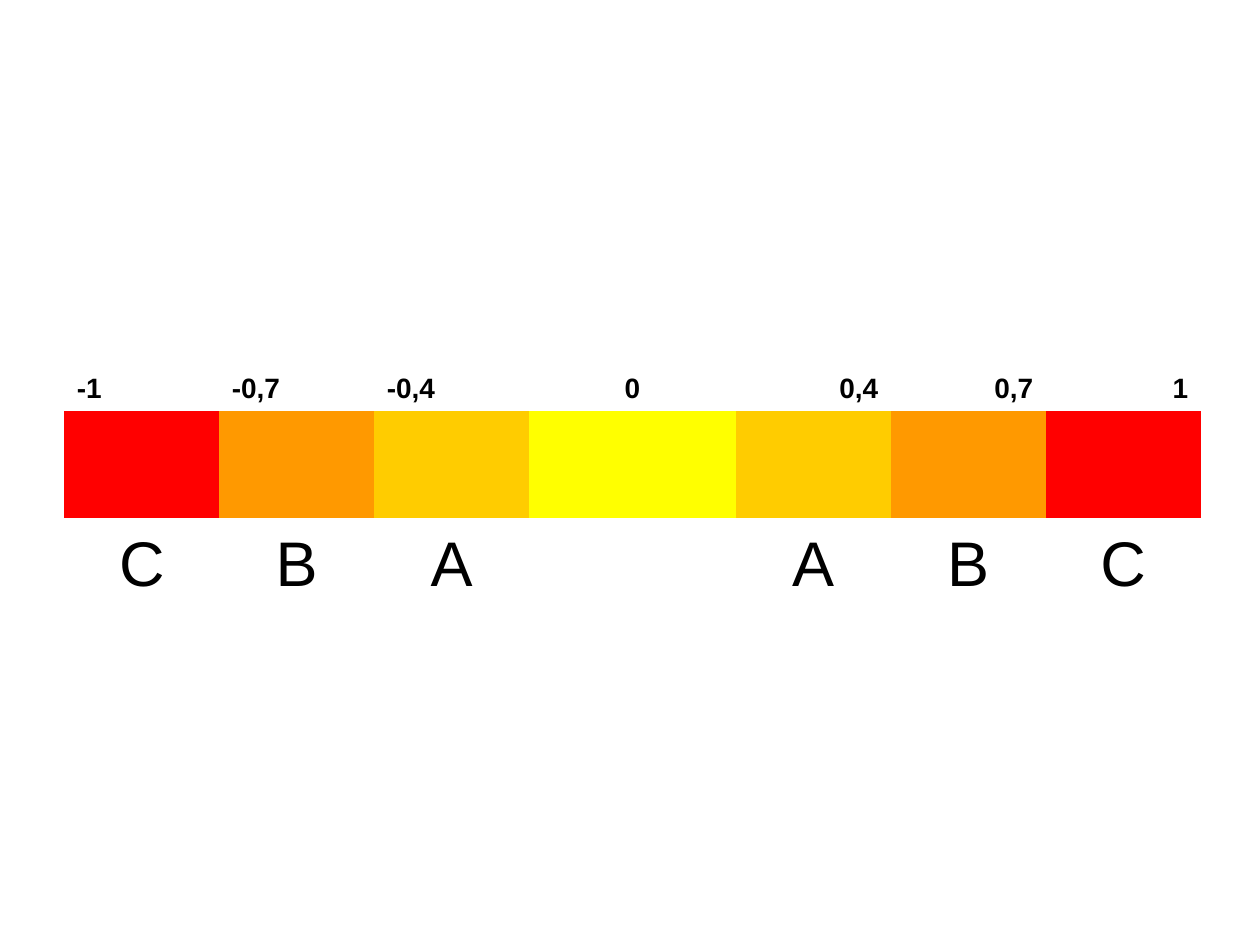
from pptx import Presentation
from pptx.dml.color import RGBColor
from pptx.enum.text import MSO_ANCHOR as Anchor, PP_ALIGN as Align
from pptx.oxml.ns import qn
from pptx.util import Inches, Pt

LEFT, CENTER, RIGHT = Align.LEFT, Align.CENTER, Align.RIGHT
SCALE = [("-1", LEFT), ("-0,7", LEFT), ("-0,4", LEFT), ("0", CENTER), ("", CENTER),
         ("0,4", RIGHT), ("0,7", RIGHT), ("1", RIGHT)]
HALF_COLOURS = ["FF0000", "FF9900", "FFCC00", "FFFF00"]
HALF_GRADES = ["C", "B", "A", ""]
HALF_WIDTHS = [1.23, 1.23, 1.23, 0.82]
ROW_HEIGHTS = [0.85, 0.85, 0.7]
LEFT_EDGE, TOP_EDGE = 0.51, 2.41
NO_GRID_STYLE = "{2D5ABB26-0587-4C30-8999-92F81FD0307C}"


def mirrored(half):
    return half + half[::-1]


def colour(value):
    return RGBColor.from_string(value)


def write(cell, text, size, align, bold=False):
    cell.vertical_anchor = Anchor.BOTTOM
    para = cell.text_frame.paragraphs[0]
    para.text = text
    para.alignment = align
    font = para.font
    font.name, font.size, font.bold = "Arial", Pt(size), bold
    font.color.rgb = colour("000000")


def add_scale(slide):
    widths = mirrored(HALF_WIDTHS)
    frame = slide.shapes.add_table(
        len(ROW_HEIGHTS), len(widths), Inches(LEFT_EDGE), Inches(TOP_EDGE),
        Inches(sum(widths)), Inches(sum(ROW_HEIGHTS)))
    table = frame.table
    table.first_row = table.horz_banding = False
    frame._element.find(".//" + qn("a:tableStyleId")).text = NO_GRID_STYLE
    for column, width in zip(table.columns, widths):
        column.width = Inches(width)
    for row, height in zip(table.rows, ROW_HEIGHTS):
        row.height = Inches(height)

    columns = zip(SCALE, mirrored(HALF_COLOURS), mirrored(HALF_GRADES))
    for index, ((value, align), fill, grade) in enumerate(columns):
        value_cell, band, grade_cell = (table.cell(row, index) for row in range(3))
        for cell in (value_cell, grade_cell):
            cell.fill.background()
        band.fill.solid()
        band.fill.fore_color.rgb = colour(fill)
        if value:
            write(value_cell, value, 16, align, bold=True)
        if grade:
            write(grade_cell, grade, 36, CENTER)
    table.cell(0, 3).merge(table.cell(0, 4))


def main():
    """Build a symmetric colour scale from -1 to 1 with graded bands."""
    deck = Presentation()
    deck.slide_width, deck.slide_height = Inches(10), Inches(7.5)
    add_scale(deck.slides.add_slide(deck.slide_layouts[6]))
    deck.save("out.pptx")


if __name__ == "__main__":
    main()
